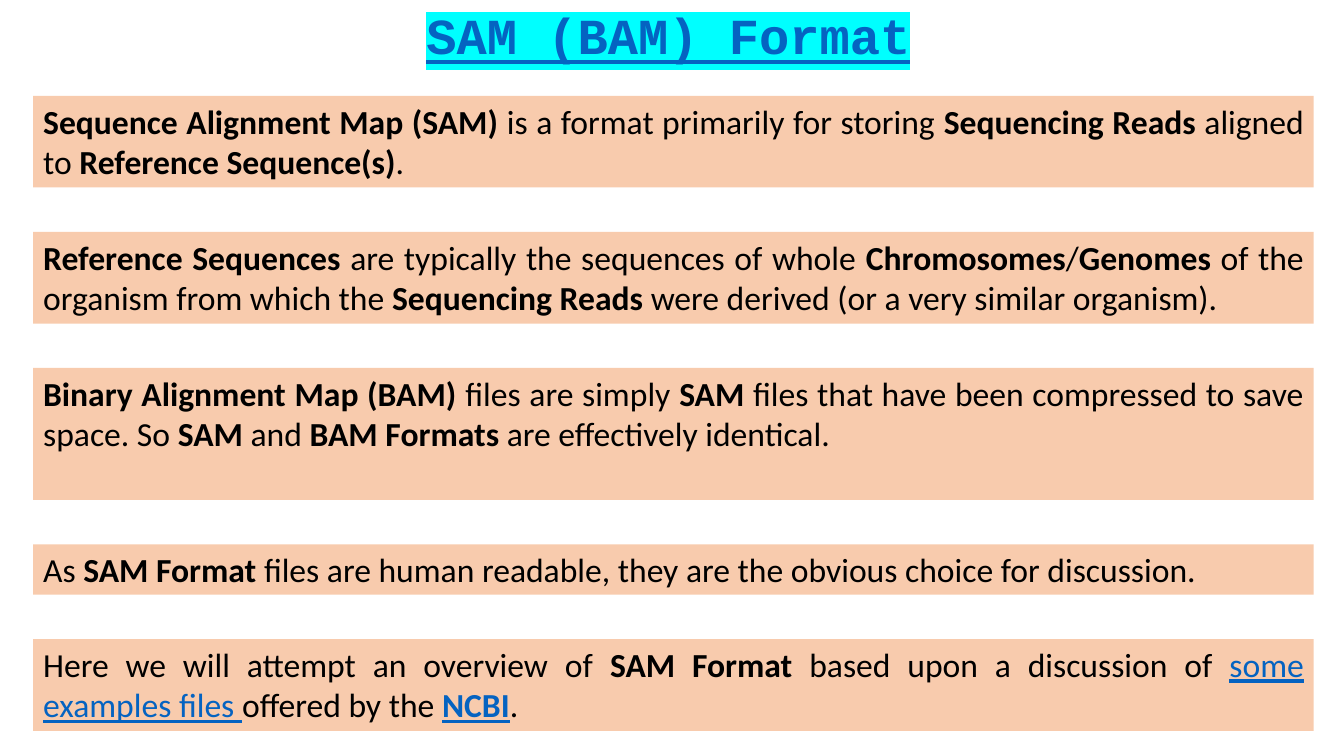
from lxml import etree
from pptx import Presentation
from pptx.dml.color import RGBColor
from pptx.enum.shapes import MSO_SHAPE
from pptx.enum.text import MSO_ANCHOR, PP_ALIGN
from pptx.oxml.ns import qn
from pptx.util import Inches, Pt

RECTANGLE = MSO_SHAPE.RECTANGLE
TOP = MSO_ANCHOR.TOP
JUSTIFY = PP_ALIGN.JUSTIFY

BLACK, LINK_BLUE, PEACH, CYAN = "000000", "0563C1", "F8CBAD", "00FFFF"
PLAIN, BOLD, LINK, BOLD_LINK = (False, False), (True, False), (False, True), (True, True)

TITLE = "SAM (BAM) Format"

# Each panel: height in inches, then its runs
PANELS = [
    (0.91, [
        ("Sequence Alignment Map (SAM)", BOLD),
        (" is a format primarily for storing ", PLAIN),
        ("Sequencing Reads ", BOLD),
        ("aligned to ", PLAIN),
        ("Reference Sequence(s)", BOLD),
        (".", PLAIN),
    ]),
    (0.91, [
        ("Reference Sequences ", BOLD),
        ("are typically the sequences of whole ", PLAIN),
        ("Chromosomes", BOLD),
        ("/", PLAIN),
        ("Genomes", BOLD),
        (" of the organism from which the ", PLAIN),
        ("Sequencing Reads ", BOLD),
        ("were derived (or a very similar organism).", PLAIN),
    ]),
    (1.31, [
        ("Binary Alignment Map (BAM) ", BOLD),
        ("files are simply ", PLAIN),
        ("SAM", BOLD),
        (" files that have been compressed to save space. So ", PLAIN),
        ("SAM ", BOLD),
        ("and ", PLAIN),
        ("BAM Formats ", BOLD),
        ("are effectively identical.", PLAIN),
    ]),
    (0.50, [
        ("As ", PLAIN),
        ("SAM Format ", BOLD),
        ("files are human readable, they are the obvious choice for discussion.", PLAIN),
    ]),
    (0.91, [
        ("Here we will attempt an overview of ", PLAIN),
        ("SAM Format ", BOLD),
        ("based upon a discussion of ", PLAIN),
        ("some examples files ", LINK),
        ("offered by the ", PLAIN),
        ("NCBI", BOLD_LINK),
        (".", PLAIN),
    ]),
]
PANEL_LEFT, PANEL_TOP, PANEL_WIDTH, PANEL_GAP = 0.33, 0.95, 12.7, 0.44


def color(hex_code):
    return RGBColor.from_string(hex_code)


def add_run(paragraph, text, style, font_name, size):
    bold, link = style
    run = paragraph.add_run()
    run.text = text
    font = run.font
    font.name, font.size = font_name, Pt(size)
    font.bold, font.underline = bold, link
    font.color.rgb = color(LINK_BLUE if link else BLACK)
    return run


def highlight(run, hex_code):
    """Put a marker colour behind the run, right after its text fill."""
    mark = etree.Element(qn("a:highlight"))
    etree.SubElement(mark, qn("a:srgbClr"), val=hex_code)
    run.font._element.find(qn("a:solidFill")).addnext(mark)


def add_title(slide):
    box = slide.shapes.add_textbox(Inches(4.13), Inches(-0.01), Inches(5.07), Inches(0.71))
    box.text_frame.word_wrap = True
    run = add_run(box.text_frame.paragraphs[0], TITLE, BOLD_LINK, "Courier New", 36)
    highlight(run, CYAN)


def add_panel(slide, top, height, runs):
    panel = slide.shapes.add_shape(
        RECTANGLE, Inches(PANEL_LEFT), Inches(top), Inches(PANEL_WIDTH), Inches(height))
    panel.shadow.inherit = False
    panel.fill.solid()
    panel.fill.fore_color.rgb = color(PEACH)
    panel.line.fill.background()
    frame = panel.text_frame
    frame.word_wrap = True
    frame.vertical_anchor = TOP
    paragraph = frame.paragraphs[0]
    paragraph.alignment = JUSTIFY
    for text, style in runs:
        add_run(paragraph, text, style, "Calibri", 24)


def main():
    presentation = Presentation()
    presentation.slide_width, presentation.slide_height = Inches(13.33), Inches(7.5)
    slide = presentation.slides.add_slide(presentation.slide_layouts[6])
    add_title(slide)
    top = PANEL_TOP
    for height, runs in PANELS:
        add_panel(slide, top, height, runs)
        top += height + PANEL_GAP
    presentation.save("out.pptx")


if __name__ == "__main__":
    main()
